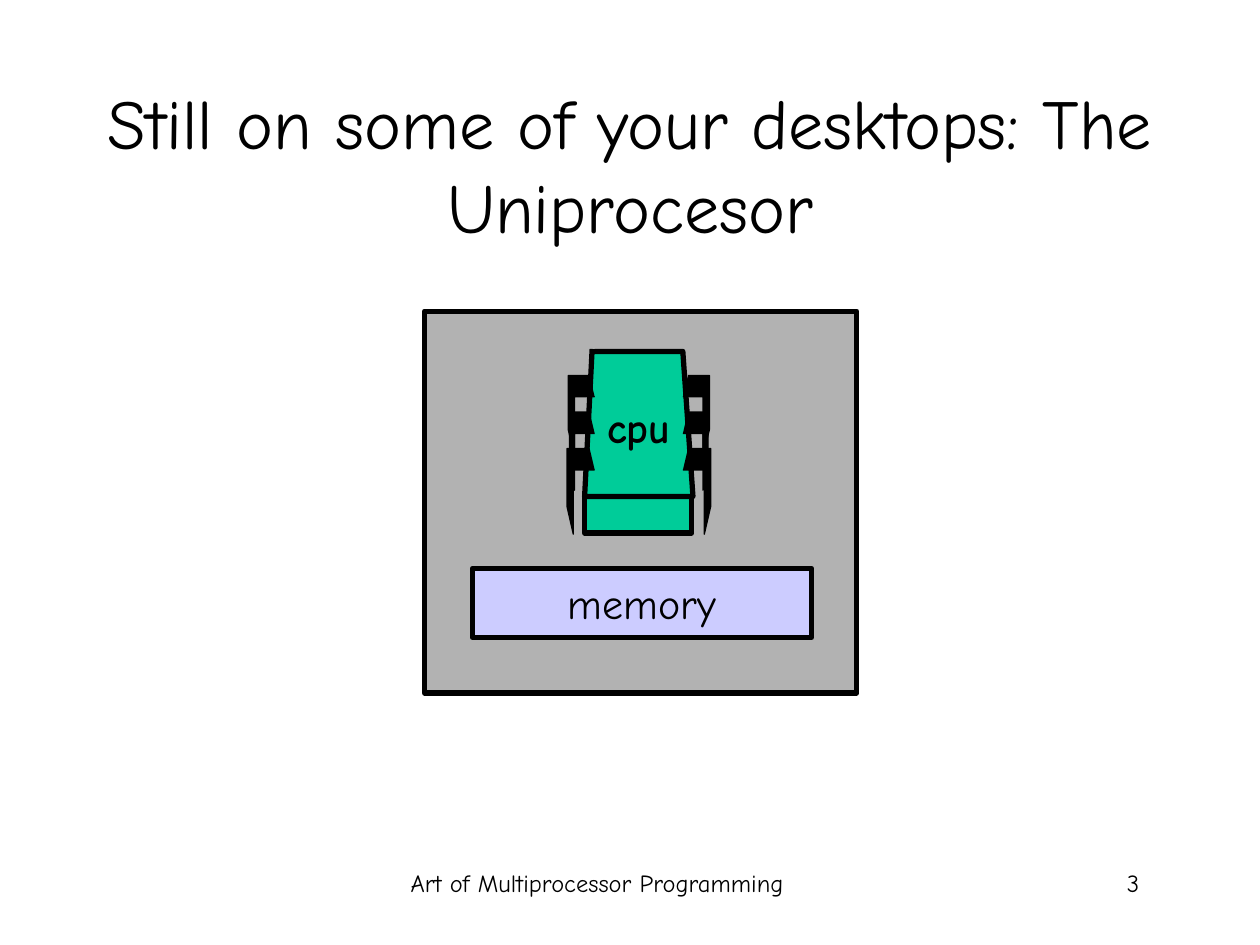
"""Build the uniprocessor slide: a cpu chip and its memory on one board."""
from dataclasses import dataclass

from pptx import Presentation
from pptx.dml.color import RGBColor
from pptx.enum.shapes import MSO_SHAPE
from pptx.enum.text import MSO_ANCHOR, PP_ALIGN
from pptx.util import Inches, Pt

RECTANGLE = MSO_SHAPE.RECTANGLE
MIDDLE = MSO_ANCHOR.MIDDLE
CENTER, RIGHT = PP_ALIGN.CENTER, PP_ALIGN.RIGHT


@dataclass(frozen=True)
class Theme:
    font: str = "Comic Neue"
    ink: RGBColor = RGBColor(0x00, 0x00, 0x00)
    board: RGBColor = RGBColor(0xB2, 0xB2, 0xB2)
    chip: RGBColor = RGBColor(0x00, 0xCC, 0x99)
    memory: RGBColor = RGBColor(0xCC, 0xCC, 0xFF)
    title_size: int = 40
    label_size: int = 24
    footer_size: int = 14
    outline: float = 3
    pin_outline: float = 0.75


class SlideBuilder:
    def __init__(self, slide, theme):
        self.s = slide
        self.theme = theme

    def place(self, sp, box):
        sp.left, sp.top, sp.width, sp.height = map(Inches, box)

    def set_text(self, sp, text, size, align, bold=False):
        tf = sp.text_frame
        tf.text = text
        p = tf.paragraphs[0]
        p.alignment = align
        p.font.name = self.theme.font
        p.font.size = Pt(size)
        p.font.bold = bold
        p.font.color.rgb = self.theme.ink
        return tf

    def paint(self, sp, fill, width):
        sp.shadow.inherit = False
        sp.fill.solid()
        sp.fill.fore_color.rgb = fill
        sp.line.color.rgb = self.theme.ink
        sp.line.width = Pt(width)

    def title(self, text, box):
        sp = self.s.shapes.title
        self.place(sp, box)
        tf = self.set_text(sp, text, self.theme.title_size, CENTER)
        tf.vertical_anchor = MIDDLE
        tf.word_wrap = True

    def text(self, text, box, size, align, bold=False, wrap=True):
        sp = self.s.shapes.add_textbox(*map(Inches, box))
        self.set_text(sp, text, size, align, bold).word_wrap = wrap

    def rect(self, box, fill, parent=None):
        shapes = (parent or self.s).shapes
        sp = shapes.add_shape(RECTANGLE, *map(Inches, box))
        self.paint(sp, fill, self.theme.outline)
        return sp

    def outline(self, points, fill, width, parent):
        start, *rest = [(Inches(x), Inches(y)) for x, y in points]
        builder = parent.shapes.build_freeform(*start)
        builder.add_line_segments(rest, close=False)
        self.paint(builder.convert_to_shape(), fill, width)

    def pin(self, side, top, outer, inner, bend, end, parent):
        axis, root, tip, thickness = 5.07, 0.39, 0.35, 0.17
        profile = [(root, top), (outer, top), (outer, bend), (inner, end),
                   (inner, top + thickness), (tip, top + thickness)]
        points = [(axis + side * x, y) for x, y in profile]
        self.outline(points, self.theme.ink, self.theme.pin_outline, parent)

    def chip(self):
        group = self.s.shapes.add_group_shape()
        self.rect((4.64, 3.94, 0.85, 0.29), self.theme.chip, group)
        face = [(4.72, 2.79), (5.42, 2.79), (5.5, 3.94), (4.64, 3.94), (4.7, 2.77)]
        self.outline(face, self.theme.chip, self.theme.outline, group)
        pins = [(3.56, 0.57, 0.52, 4.02, 4.24),
                (3.27, 0.55, 0.51, 3.69, 3.89),
                (2.98, 0.56, 0.51, 3.41, 3.62)]
        for side in (1, -1):
            for pin in pins:
                self.pin(side, *pin, group)

    def memory(self, text, box):
        sp = self.rect(box, self.theme.memory)
        tf = self.set_text(sp, text, self.theme.label_size, CENTER)
        tf.vertical_anchor = MIDDLE
        tf.word_wrap = False


def main():
    theme = Theme()
    prs = Presentation()
    prs.slide_width, prs.slide_height = Inches(10), Inches(7.5)
    b = SlideBuilder(prs.slides.add_slide(prs.slide_layouts[5]), theme)

    b.title("Still on some of your desktops: The Uniprocesor", (0.75, 0.67, 8.5, 1.25))
    b.text("Art of Multiprocessor Programming", (2.6, 6.84, 4.28, 0.5),
           theme.footer_size, CENTER)
    b.text("3", (7.06, 6.84, 2.08, 0.5), theme.footer_size, RIGHT)
    b.rect((3.37, 2.47, 3.43, 3.03), theme.board)
    b.chip()
    b.memory("memory", (3.75, 4.51, 2.69, 0.55))
    b.text("cpu", (4.72, 3.14, 0.7, 0.5), theme.label_size, RIGHT, bold=True, wrap=False)

    prs.save("out.pptx")


if __name__ == "__main__":
    main()
